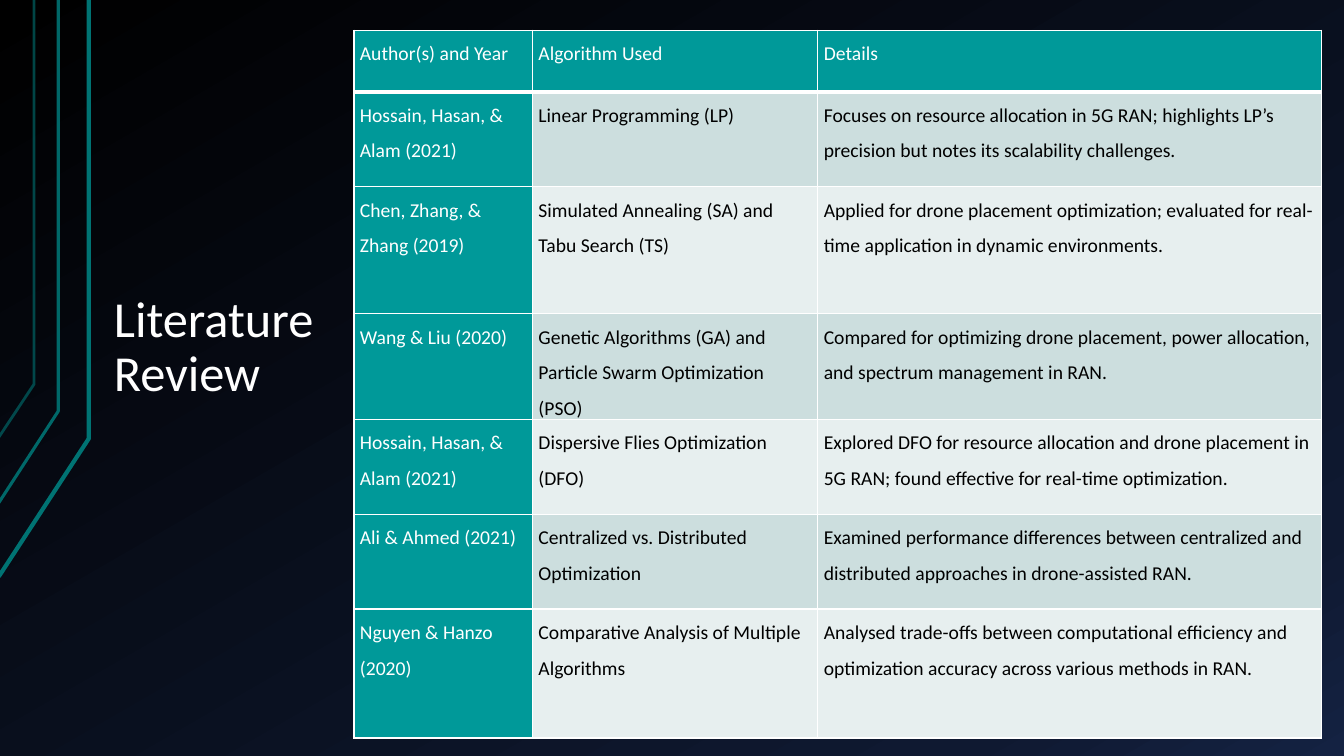
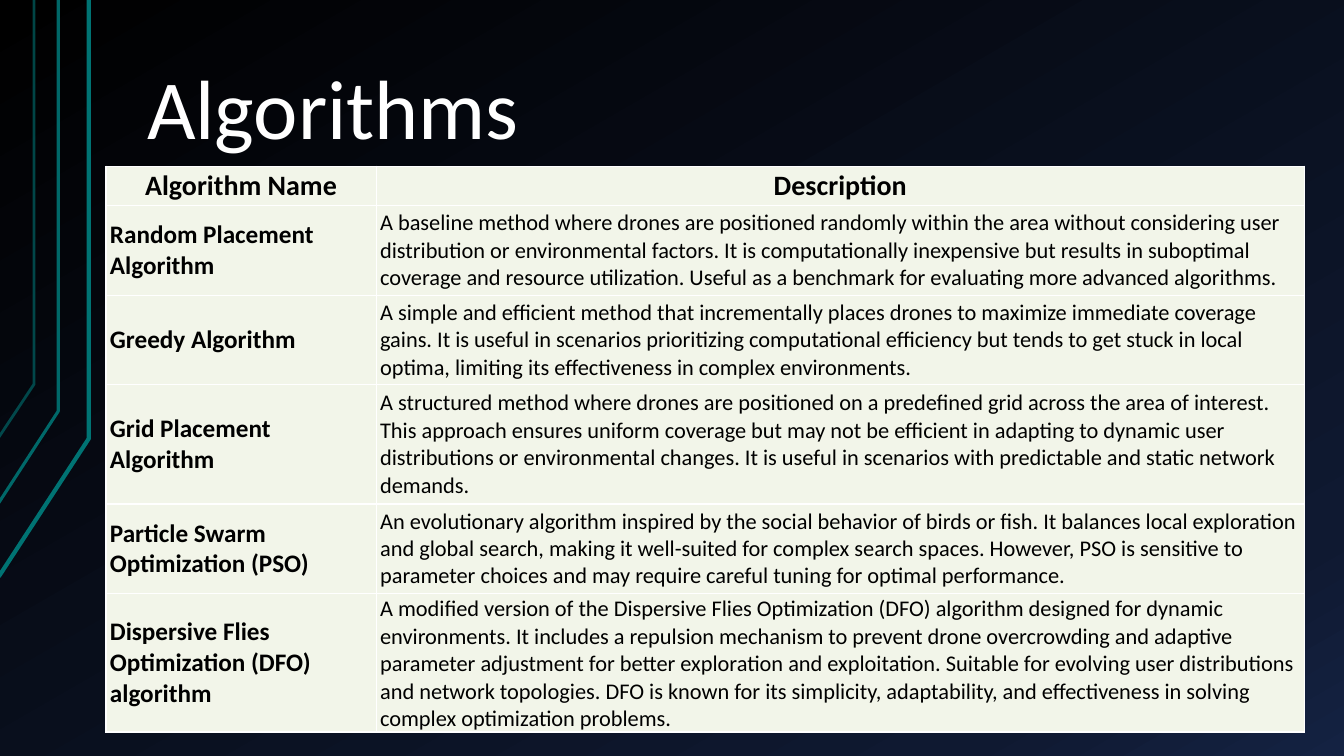
from copy import deepcopy
from lxml import etree
from pptx import Presentation
from pptx.dml.color import RGBColor
from pptx.enum.text import MSO_ANCHOR, PP_ALIGN
from pptx.oxml.ns import qn
from pptx.util import Cm, Pt

TOP, MIDDLE, BOTTOM = MSO_ANCHOR.TOP, MSO_ANCHOR.MIDDLE, MSO_ANCHOR.BOTTOM
LEFT, CENTER, JUSTIFY = PP_ALIGN.LEFT, PP_ALIGN.CENTER, PP_ALIGN.JUSTIFY

THEME = {
    "font": "Calibri",
    "white": "FFFFFF",
    "black": "000000",
    "line": "007373",
    "teal": "009999",
    "bands": ["CCDEDE", "E7EFEF"],
    "cream": "F2F5E9",
    "sky": [(0, "000000"), (0.85, "0F1931"), (1, "142242")],
    "sky_angle": 300,
    "review_title": 36,
    "algorithms_title": 60,
    "review": 14,
    "head": 20,
    "name": 18,
    "body": 16,
}

CIRCUIT_LINES = [
    {"x": 2.24, "bend": 11.05, "end": 14.53, "weight": 3, "opacity": 100},
    {"x": 1.47, "bend": 10.36, "end": 12.67, "weight": 2.25, "opacity": 90},
    {"x": 0.86, "bend": 9.68, "end": 11.02, "weight": 2, "opacity": 60},
]

REVIEW_ROWS = [
    ("Author(s) and Year", "Algorithm Used", "Details"),
    ("Hossain, Hasan, & Alam (2021)", "Linear Programming (LP)",
     "Focuses on resource allocation in 5G RAN; highlights LP’s precision but notes its "
     "scalability challenges."),
    ("Chen, Zhang, & Zhang (2019)", "Simulated Annealing (SA) and Tabu Search (TS)",
     "Applied for drone placement optimization; evaluated for real-time application in "
     "dynamic environments."),
    ("Wang & Liu (2020)", "Genetic Algorithms (GA) and Particle Swarm Optimization (PSO)",
     "Compared for optimizing drone placement, power allocation, and spectrum management "
     "in RAN."),
    ("Hossain, Hasan, & Alam (2021)", "Dispersive Flies Optimization (DFO)",
     "Explored DFO for resource allocation and drone placement in 5G RAN; found effective "
     "for real-time optimization."),
    ("Ali & Ahmed (2021)", "Centralized vs. Distributed Optimization",
     "Examined performance differences between centralized and distributed approaches in "
     "drone-assisted RAN."),
    ("Nguyen & Hanzo (2020)", "Comparative Analysis of Multiple Algorithms",
     "Analysed trade-offs between computational efficiency and optimization accuracy "
     "across various methods in RAN."),
]

ALGORITHM_ROWS = [
    ("Algorithm Name", "Description"),
    ("Random Placement Algorithm",
     "A baseline method where drones are positioned randomly within the area without "
     "considering user distribution or environmental factors. It is computationally "
     "inexpensive but results in suboptimal coverage and resource utilization. Useful as a "
     "benchmark for evaluating more advanced algorithms."),
    ("Greedy Algorithm",
     "A simple and efficient method that incrementally places drones to maximize immediate "
     "coverage gains. It is useful in scenarios prioritizing computational efficiency but "
     "tends to get stuck in local optima, limiting its effectiveness in complex "
     "environments."),
    ("Grid Placement Algorithm",
     "A structured method where drones are positioned on a predefined grid across the area "
     "of interest. This approach ensures uniform coverage but may not be efficient in "
     "adapting to dynamic user distributions or environmental changes. It is useful in "
     "scenarios with predictable and static network demands."),
    ("Particle Swarm Optimization (PSO)",
     "An evolutionary algorithm inspired by the social behavior of birds or fish. It "
     "balances local exploration and global search, making it well-suited for complex "
     "search spaces. However, PSO is sensitive to parameter choices and may require "
     "careful tuning for optimal performance."),
    ("Dispersive Flies Optimization (DFO) algorithm",
     "A modified version of the Dispersive Flies Optimization (DFO) algorithm designed for "
     "dynamic environments. It includes a repulsion mechanism to prevent drone "
     "overcrowding and adaptive parameter adjustment for better exploration and "
     "exploitation. Suitable for evolving user distributions and network topologies. DFO "
     "is known for its simplicity, adaptability, and effectiveness in solving complex "
     "optimization problems."),
]


def review_style(row, col):
    head, label = row == 0, row == 0 or col == 0
    return {
        "size": THEME["review"],
        "bold": False,
        "color": THEME["white" if label else "black"],
        "fill": THEME["teal"] if label else THEME["bands"][(row - 1) % 2],
        "align": JUSTIFY if head else LEFT,
    }


def algorithm_style(row, col):
    kind = "head" if row == 0 else "name" if col == 0 else "body"
    return {
        "size": THEME[kind],
        "bold": kind != "body",
        "color": THEME["black"],
        "fill": THEME["cream"],
        "align": CENTER if kind == "head" else LEFT,
    }


SLIDES = [
    {
        "title": "Literature\vReview", "title_at": (2.54, 6.93),
        "title_size": THEME["review_title"],
        "rows": REVIEW_ROWS, "table_at": (8.92, 0.76), "style": review_style,
        "widths": [4.5, 7.19, 12.7],
        "heights": [1.55, 2.39, 3.2, 2.39, 2.39, 2.39, 3.25],
        "margins": (0.15, 0), "anchor": TOP, "spacing": 1.5, "head_rule": 3,
    },
    {
        "title": "Algorithms", "title_at": (3.38, 0.76),
        "title_size": THEME["algorithms_title"],
        "rows": ALGORITHM_ROWS, "table_at": (2.67, 4.19), "style": algorithm_style,
        "widths": [6.81, 23.39],
        "heights": [0.99, 2.26, 2.26, 3, 2.26, 3],
        "margins": (0.1, 0.05), "anchor": MIDDLE, "spacing": 1, "head_rule": 1,
    },
]


def set_all(obj, values):
    for name, value in values.items():
        setattr(obj, name, value)


def inset(x, y):
    return {"margin_left": Cm(x), "margin_right": Cm(x),
            "margin_top": Cm(y), "margin_bottom": Cm(y)}


def write(tf, text, size, color, bold=False, align=LEFT, spacing=1):
    p = tf.paragraphs[0]
    p.text = text
    set_all(p, {"alignment": align, "line_spacing": spacing})
    for r in p.runs:
        set_all(r.font, {"name": THEME["font"], "size": Pt(size), "bold": bold})
        r.font.color.rgb = RGBColor.from_string(color)


def paint_background(master):
    fill = master.background.fill
    fill.gradient()
    fill.gradient_angle = THEME["sky_angle"]
    stops = master.element.xpath(".//p:bg//a:gsLst")[0]
    stops.append(deepcopy(stops[0]))
    for stop, (position, color) in zip(fill.gradient_stops, THEME["sky"]):
        stop.position = position
        stop.color.rgb = RGBColor.from_string(color)


def add_circuit_line(s, x, bend, end, weight, opacity):
    builder = s.shapes.build_freeform(Cm(-0.03), Cm(end))
    builder.add_line_segments([(Cm(x), Cm(bend)), (Cm(x), 0)], close=False)
    sp = builder.convert_to_shape()
    sp.shadow.inherit = False
    sp.fill.background()
    sp.line.width = Pt(weight)
    sp.line.color.rgb = RGBColor.from_string(THEME["line"])
    color = sp.element.xpath(".//a:ln//a:srgbClr")[0]
    etree.SubElement(color, qn("a:alpha"), val=str(opacity * 1000))


def add_title(s, text, at, size):
    x, y = at
    tf = s.shapes.add_textbox(Cm(x), Cm(y), Cm(28.78), Cm(3.4)).text_frame
    set_all(tf, {"word_wrap": True, "vertical_anchor": BOTTOM, **inset(0.33, 0.18)})
    write(tf, text, size, THEME["white"], spacing=0.9)


def add_borders(cell, weights):
    tcPr = cell._tc.get_or_add_tcPr()
    for i, (side, weight) in enumerate(weights.items()):
        ln = etree.Element(qn("a:ln" + side), w=str(Pt(weight)))
        solid = etree.SubElement(ln, qn("a:solidFill"))
        etree.SubElement(solid, qn("a:srgbClr"), val=THEME["white"])
        tcPr.insert(i, ln)


def add_grid(s, spec):
    rows, widths, heights = spec["rows"], spec["widths"], spec["heights"]
    x, y = spec["table_at"]
    table = s.shapes.add_table(len(rows), len(widths), Cm(x), Cm(y),
                               Cm(sum(widths)), Cm(sum(heights))).table
    table.horz_banding = False
    for column, width in zip(table.columns, widths):
        column.width = Cm(width)
    for i, (row, height) in enumerate(zip(table.rows, heights)):
        row.height = Cm(height)
        weights = {"L": 1, "R": 1,
                   "T": spec["head_rule"] if i == 1 else 1,
                   "B": spec["head_rule"] if i == 0 else 1}
        for j, cell in enumerate(row.cells):
            style = spec["style"](i, j)
            set_all(cell, {"vertical_anchor": spec["anchor"], **inset(*spec["margins"])})
            cell.fill.solid()
            cell.fill.fore_color.rgb = RGBColor.from_string(style.pop("fill"))
            add_borders(cell, weights)
            write(cell.text_frame, rows[i][j], spacing=spec["spacing"], **style)


def main():
    prs = Presentation()
    set_all(prs, {"slide_width": Cm(33.87), "slide_height": Cm(19.05)})
    paint_background(prs.slide_master)
    for spec in SLIDES:
        s = prs.slides.add_slide(prs.slide_layouts[6])
        for line in CIRCUIT_LINES:
            add_circuit_line(s, **line)
        add_title(s, spec["title"], spec["title_at"], spec["title_size"])
        add_grid(s, spec)
    prs.save("out.pptx")


if __name__ == "__main__":
    main()
